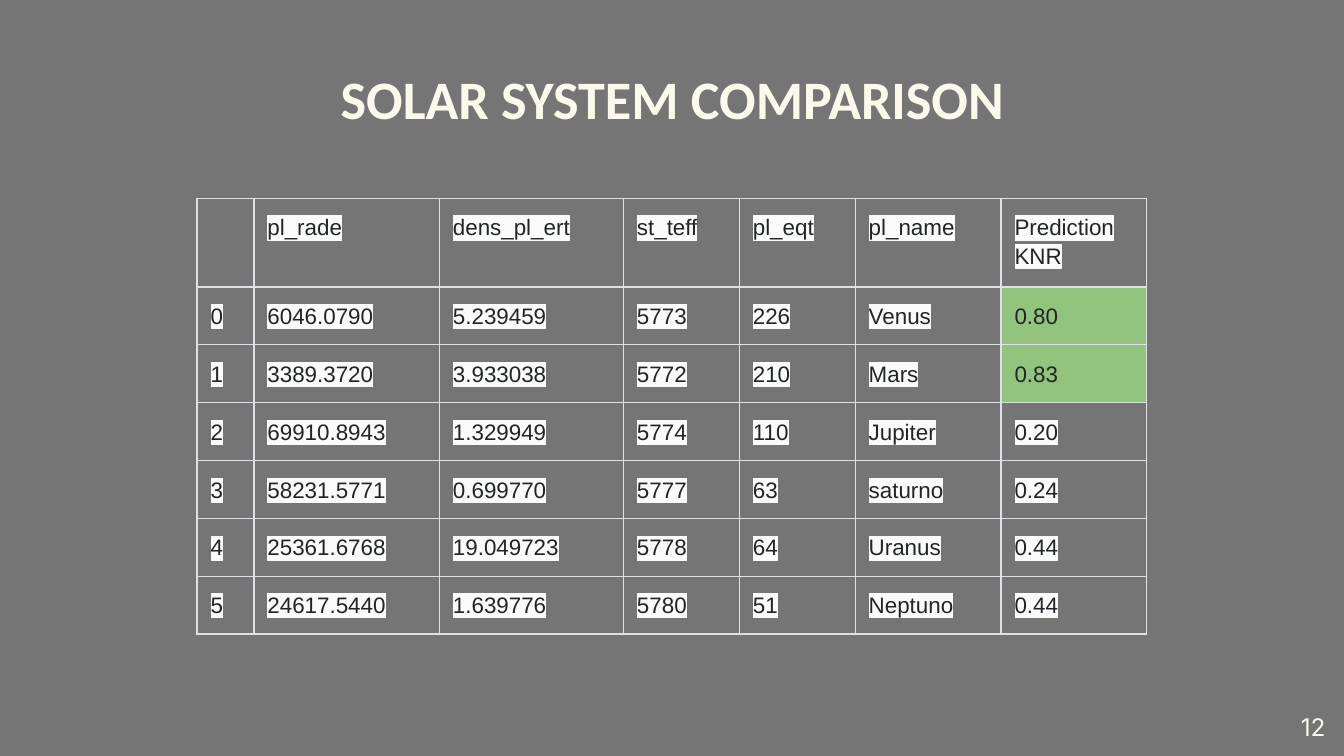
import pptx
import pptx.util
import pptx.dml.color
import pptx.enum.shapes
import pptx.enum.text
import pptx.oxml.ns
import lxml.etree
from dataclasses import dataclass

Pt = pptx.util.Pt
Align = pptx.enum.text.PP_ALIGN
Middle = pptx.enum.text.MSO_ANCHOR.MIDDLE


@dataclass(frozen=True)
class Theme:
    shade: str = "161616"
    cream: str = "FAF9EC"
    ink: str = "212529"
    mark: str = "FAFAFA"
    good: str = "93C47D"
    rule: str = "DEE2E6"
    title: int = 29
    page: int = 13
    body: int = 12
    pad: float = 7.2


theme = Theme()

HEADS = ["", "pl_rade", "dens_pl_ert", "st_teff", "pl_eqt", "pl_name", "Prediction KNR"]
ROWS = [
    ["0", "6046.0790", "5.239459", "5773", "226", "Venus", "0.80"],
    ["1", "3389.3720", "3.933038", "5772", "210", "Mars", "0.83"],
    ["2", "69910.8943", "1.329949", "5774", "110", "Jupiter", "0.20"],
    ["3", "58231.5771", "0.699770", "5777", "63", "saturno", "0.24"],
    ["4", "25361.6768", "19.049723", "5778", "64", "Uranus", "0.44"],
    ["5", "24617.5440", "1.639776", "5780", "51", "Neptuno", "0.44"],
]
WIDTHS = [30.5, 99.4, 98.6, 62.1, 62.1, 78.1, 78.1]
LIMIT = 0.5


def color(code):
    return pptx.dml.color.RGBColor.from_string(code)


def add_node(parent, tag, **attrs):
    return lxml.etree.SubElement(parent, pptx.oxml.ns.qn(tag), attrs)


def write(frame, text, *, size, font, ink, bold=False, align=None, space=None, mark=None):
    para = frame.paragraphs[0]
    para.alignment = align
    para.line_spacing = space
    run = para.add_run()
    run.text = text
    run.font.size = Pt(size)
    run.font.name = font
    run.font.bold = bold
    run.font.color.rgb = color(ink)
    if mark:
        props = run.font._element
        light = add_node(props, "a:highlight")
        add_node(light, "a:srgbClr", val=mark)
        props.find(pptx.oxml.ns.qn("a:solidFill")).addnext(light)


def add_text(slide, box, text, **style):
    frame = slide.shapes.add_textbox(*map(Pt, box)).text_frame
    frame.word_wrap = True
    frame.vertical_anchor = Middle
    frame.margin_left = frame.margin_right = Pt(theme.pad)
    frame.margin_top = frame.margin_bottom = Pt(theme.pad)
    write(frame, text, ink=theme.cream, **style)


def add_shade(slide, box):
    shape = slide.shapes.add_shape(pptx.enum.shapes.MSO_SHAPE.RECTANGLE, *map(Pt, box))
    shape.shadow.inherit = False
    shape.line.fill.background()
    shape.fill.solid()
    shape.fill.fore_color.rgb = color(theme.shade)
    tone = shape._element.spPr.find(".//" + pptx.oxml.ns.qn("a:srgbClr"))
    add_node(tone, "a:alpha", val="59000")


def add_title(slide, box):
    add_text(slide, box, "SOLAR SYSTEM COMPARISON", size=theme.title,
             font="Calibri", bold=True, align=Align.CENTER)


def add_page(slide, box):
    add_text(slide, box, "12", size=theme.page, font="Inter", align=Align.RIGHT)


def set_cell(cell, text, good):
    cell.margin_left = cell.margin_right = Pt(theme.pad)
    cell.margin_top = cell.margin_bottom = Pt(theme.pad)
    props = cell._tc.get_or_add_tcPr()
    for side in ("L", "R", "T", "B"):
        line = add_node(props, f"a:ln{side}", w=str(Pt(0.75)))
        add_node(add_node(line, "a:solidFill"), "a:srgbClr", val=theme.rule)
    if good:
        cell.fill.solid()
        cell.fill.fore_color.rgb = color(theme.good)
    else:
        cell.fill.background()
    if text:
        write(cell.text_frame, text, size=theme.body, font="Arial", ink=theme.ink,
              space=1.15, mark=theme.good if good else theme.mark)


def add_grid(slide, box):
    data = [HEADS] + ROWS
    left, top, width, height = box
    table = slide.shapes.add_table(len(data), len(HEADS), *map(Pt, box)).table
    table.first_row = table.horz_banding = False
    for col, part in zip(table.columns, WIDTHS):
        col.width = Pt(width * part / sum(WIDTHS))
    for row in table.rows:
        row.height = Pt(height / len(data))
    last = len(HEADS) - 1
    for r, texts in enumerate(data):
        for c, text in enumerate(texts):
            good = r > 0 and c == last and float(text) > LIMIT
            set_cell(table.cell(r, c), text, good)


def main():
    deck = pptx.Presentation()
    deck.slide_width, deck.slide_height = Pt(720), Pt(405)
    slide = deck.slides.add_slide(deck.slide_layouts[6])
    add_shade(slide, (0, 0, 720, 405))
    add_page(slide, (673.9, 373.7, 43.2, 31))
    add_title(slide, (56.9, 27.4, 607, 49.7))
    add_grid(slide, (105.6, 106.2, sum(WIDTHS), 208.6))
    deck.save("out.pptx")


if __name__ == "__main__":
    main()
